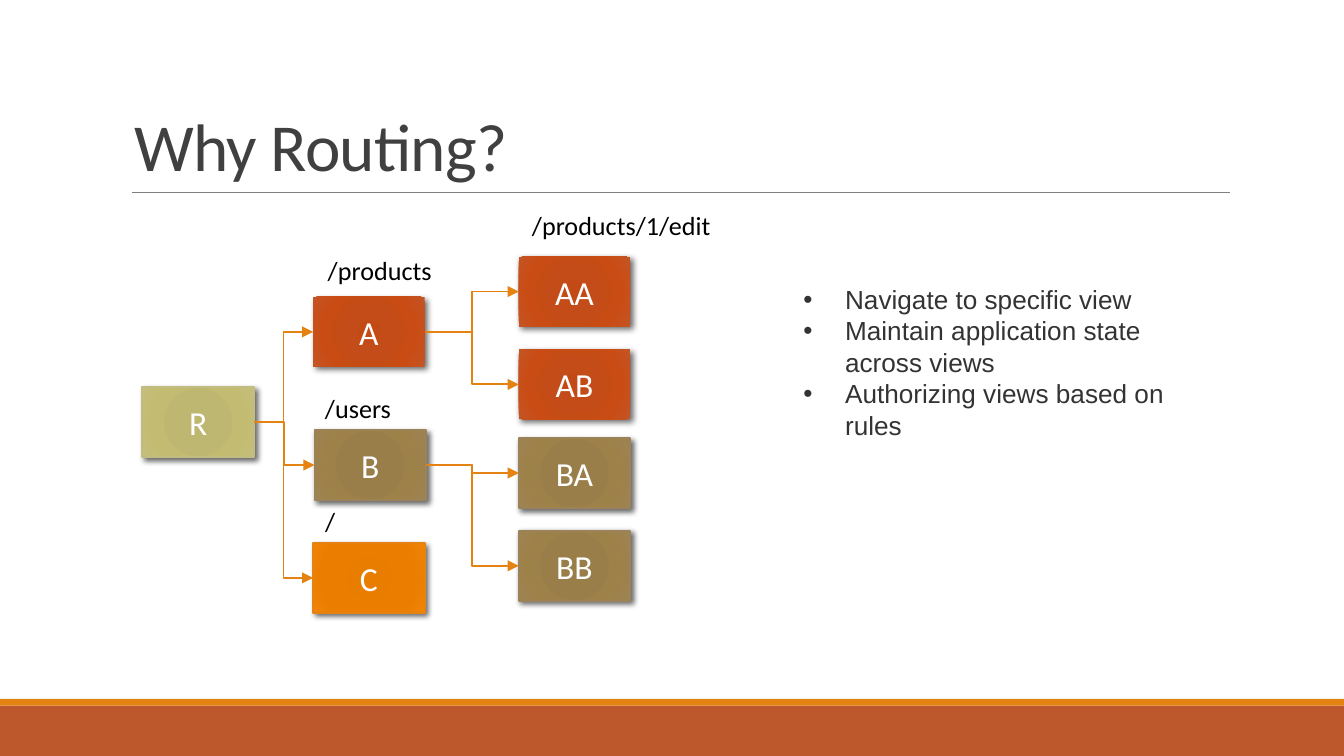
from dataclasses import dataclass
from typing import Optional

import pptx
import pptx.dml.color
import pptx.enum.shapes
import pptx.enum.text
import pptx.oxml
import pptx.oxml.ns
import pptx.util
from lxml import etree
from pptx.util import Inches

qn = pptx.oxml.ns.qn
Align = pptx.enum.text.PP_ALIGN
Anchor = pptx.enum.text.MSO_ANCHOR
AutoSize = pptx.enum.text.MSO_AUTO_SIZE

ORANGE = "E48312"
SLIDE_WIDTH = 10
NODE_WIDTH, NODE_HEIGHT = 0.83, 0.52
RIGHT_SIDE, LEFT_SIDE = 3, 1
BULLET_INDENT = 0.31


@dataclass(frozen=True)
class Palette:
    stops: tuple[str, str, str, str]
    outline: Optional[str] = None
    shadow_blur: float = 3


@dataclass(frozen=True)
class Node:
    name: str
    left: float
    top: float
    palette: Palette


@dataclass(frozen=True)
class RouteLabel:
    route: str
    left: float
    top: float
    width: float


KHAKI = Palette(("BEB76E", "BEB771", "C3BB71", "C5BF7D"), "C2BC80")
RUST = Palette(("C44A15", "C34C18", "C94C15", "C45525"), shadow_blur=3.5)
BROWN = Palette(("9A7D48", "9A7E4A", "9E8049", "9E8454"), "9B8357")
AMBER = Palette(("E57B00", "E87D00", "EB7E00", "EF8407"), ORANGE)

NODES = [
    Node("R", 1.06, 2.88, KHAKI),
    Node("A", 2.33, 2.21, RUST),
    Node("B", 2.34, 3.2, BROWN),
    Node("C", 2.33, 4.04, AMBER),
    Node("AA", 3.86, 1.91, RUST),
    Node("AB", 3.86, 2.6, RUST),
    Node("BA", 3.86, 3.26, BROWN),
    Node("BB", 3.86, 3.95, BROWN),
]
CHILDREN = {"R": ["A", "B", "C"], "A": ["AA", "AB"], "B": ["BA", "BB"]}
ROUTE_LABELS = [
    RouteLabel("/products", 2.34, 1.84, 0.98),
    RouteLabel("/users", 2.32, 2.87, 0.7),
    RouteLabel("/", 2.32, 3.71, 0.28),
    RouteLabel("/products/1/edit", 3.86, 1.51, 1.54),
]
REASONS = [
    "Navigate to specific view",
    "Maintain application state across views",
    "Authorizing views based on rules",
]


def rgb(value: str):
    return pptx.dml.color.RGBColor.from_string(value)


def format_text(frame, size: float, color: str, font: str = "Calibri", align=Align.LEFT) -> None:
    for paragraph in frame.paragraphs:
        paragraph.alignment = align
        for run in paragraph.runs:
            run.font.size = pptx.util.Pt(size)
            run.font.name = font
            run.font.color.rgb = rgb(color)


def add_rectangle(slide, left: float, top: float, width: float, height: float):
    rectangle = slide.shapes.add_shape(
        pptx.enum.shapes.MSO_SHAPE.RECTANGLE,
        Inches(left), Inches(top), Inches(width), Inches(height))
    rectangle.shadow.inherit = False
    rectangle.line.fill.background()
    return rectangle


def add_band(slide, top: float, height: float, color: str) -> None:
    band = add_rectangle(slide, 0, top, SLIDE_WIDTH, height)
    band.fill.solid()
    band.fill.fore_color.rgb = rgb(color)


def add_line(slide, kind, begin: tuple[float, float], end: tuple[float, float],
             color: str, width: float):
    line = slide.shapes.add_connector(
        kind, Inches(begin[0]), Inches(begin[1]), Inches(end[0]), Inches(end[1]))
    line.line.color.rgb = rgb(color)
    line.line.width = pptx.util.Pt(width)
    etree.SubElement(line.element.spPr, qn("a:effectLst"))
    return line


def apply_palette(shape, palette: Palette) -> None:
    """Give the shape a circular gradient, its outline and a soft shadow."""
    stops = "".join(
        f'<a:gs pos="{position * 1000}"><a:srgbClr val="{color}"/></a:gs>'
        for position, color in zip((0, 34, 70, 100), palette.stops))
    gradient = pptx.oxml.parse_xml(
        f'<a:gradFill {pptx.oxml.ns.nsdecls("a")} rotWithShape="1"><a:gsLst>{stops}</a:gsLst>'
        '<a:path path="circle"><a:fillToRect l="100000" t="100000" r="100000" b="100000"/>'
        '</a:path></a:gradFill>')
    shape.fill.background()
    properties = shape.element.spPr
    properties.replace(properties.find(qn("a:noFill")), gradient)
    if palette.outline:
        shape.line.color.rgb = rgb(palette.outline)
        shape.line.width = pptx.util.Pt(1)
    shadow = etree.SubElement(
        properties.find(qn("a:effectLst")), qn("a:outerShdw"),
        blurRad=str(pptx.util.Pt(palette.shadow_blur)), dist=str(pptx.util.Pt(2)),
        dir="2700000", algn="br", rotWithShape="0")
    black = etree.SubElement(shadow, qn("a:srgbClr"), val="000000")
    etree.SubElement(black, qn("a:alpha"), val="60000")


def add_node(slide, node: Node):
    box = add_rectangle(slide, node.left, node.top, NODE_WIDTH, NODE_HEIGHT)
    apply_palette(box, node.palette)
    box.text_frame.text = node.name
    box.text_frame.vertical_anchor = Anchor.MIDDLE
    format_text(box.text_frame, 18, "FFFFFF", align=Align.CENTER)
    return box


def add_branch(slide, parent, child) -> None:
    branch = add_line(slide, pptx.enum.shapes.MSO_CONNECTOR.ELBOW, (0, 0), (1, 1), ORANGE, 1)
    branch.begin_connect(parent, RIGHT_SIDE)
    branch.end_connect(child, LEFT_SIDE)
    etree.SubElement(branch.element.spPr.find(qn("a:ln")), qn("a:tailEnd"), type="triangle")


def add_text(slide, text: str, left: float, top: float, width: float, height: float, wrap: bool):
    frame = slide.shapes.add_textbox(
        Inches(left), Inches(top), Inches(width), Inches(height)).text_frame
    frame.text = text
    frame.word_wrap = wrap
    frame.auto_size = AutoSize.SHAPE_TO_FIT_TEXT
    return frame


def add_reasons(slide) -> None:
    reasons = add_text(slide, "\n".join(REASONS), 5.88, 2.06, 3.27, 1.28, wrap=True)
    format_text(reasons, 14, "333333", "Arial")
    for paragraph in reasons.paragraphs:
        properties = paragraph._p.get_or_add_pPr()
        properties.set("marL", str(Inches(BULLET_INDENT)))
        properties.set("indent", str(-Inches(BULLET_INDENT)))
        etree.SubElement(properties, qn("a:buFont"), typeface="Arial")
        etree.SubElement(properties, qn("a:buChar"), char="•")


def set_title(slide, text: str) -> None:
    title = slide.shapes.title
    title.left, title.top = Inches(0.9), Inches(0.24)
    title.width, title.height = Inches(8.25), Inches(1.19)
    title.text_frame.text = text
    title.text_frame.vertical_anchor = Anchor.BOTTOM
    title.text_frame.paragraphs[0].line_spacing = 0.85
    format_text(title.text_frame, 36, "404040")
    title.text_frame.paragraphs[0].runs[0].font._element.set("spc", "-40")


def main() -> None:
    deck = pptx.Presentation()
    deck.slide_width, deck.slide_height = Inches(SLIDE_WIDTH), Inches(SLIDE_WIDTH * 9 / 16)
    slide = deck.slides.add_slide(deck.slide_layouts.get_by_name("Title Only"))
    set_title(slide, "Why Routing?")
    add_band(slide, 5.25, 0.38, "BD582C")
    add_band(slide, 5.2, 0.05, ORANGE)
    add_line(slide, pptx.enum.shapes.MSO_CONNECTOR.STRAIGHT, (0.98, 1.43), (9.15, 1.43),
             "808080", 0.5)
    boxes = {node.name: add_node(slide, node) for node in NODES}
    for parent, children in CHILDREN.items():
        for child in children:
            add_branch(slide, boxes[parent], boxes[child])
    for label in ROUTE_LABELS:
        frame = add_text(slide, label.route, label.left, label.top, label.width, 0.34, wrap=False)
        format_text(frame, 14, "000000")
    add_reasons(slide)
    deck.save("out.pptx")


if __name__ == "__main__":
    main()
